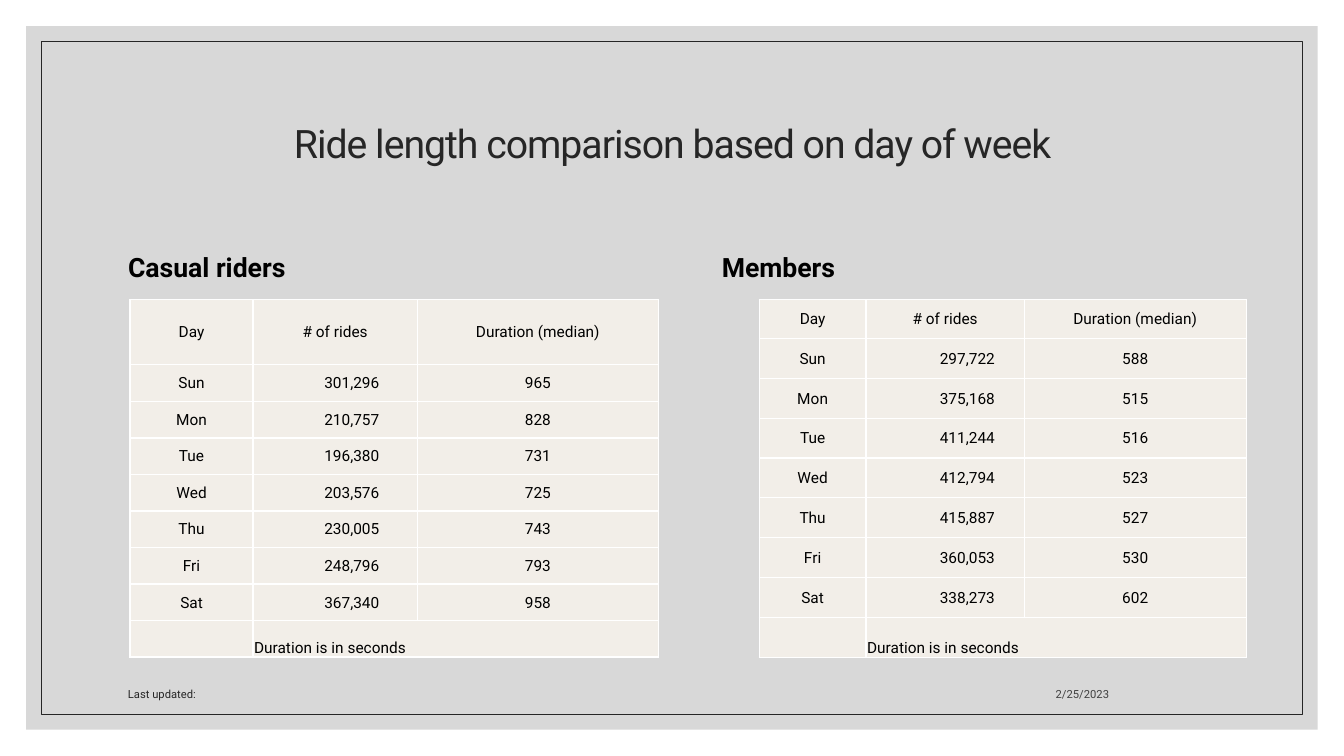
from lxml import etree
from pptx import Presentation
from pptx.dml.color import RGBColor
from pptx.enum.shapes import MSO_SHAPE as SHAPE
from pptx.enum.text import MSO_ANCHOR as ANCHOR, MSO_AUTO_SIZE as AUTO, PP_ALIGN as ALIGN
from pptx.oxml.ns import qn
from pptx.util import Inches, Pt

# Content
TITLE = "Ride length comparison based on day of week"
HEADER = ("Day", "# of rides", "Duration (median)")
DAYS = ("Sun", "Mon", "Tue", "Wed", "Thu", "Fri", "Sat")
NOTE = "Duration is in seconds"
FOOTER = [  # text, left, width, alignment, colour
    ("2/25/2023", 7.94, 3.16, ALIGN.RIGHT, "date"),
    ("Last updated:", 1.17, 6.36, ALIGN.LEFT, "dark"),
]
GROUPS = [
    dict(name="Casual riders", heading_left=1.17, left=1.29, cols=(1.22, 1.63, 2.39),
         header_height=0.65, rides_indent=0.34,
         rides=("301,296", "210,757", "196,380", "203,576", "230,005", "248,796", "367,340"),
         durations=(965, 828, 731, 725, 743, 793, 958)),
    dict(name="Members", heading_left=7.06, left=7.53, cols=(1.06, 1.57, 2.2),
         header_height=0.39, rides_indent=0.45,
         rides=("297,722", "375,168", "411,244", "412,794", "415,887", "360,053", "338,273"),
         durations=(588, 515, 516, 523, 527, 530, 602)),
]
COLORS = {"panel": "BFBFBF", "dark": "262626", "date": "404040",
          "text": "000000", "cell": "F2EEE8", "border": "FFFFFF"}
FONT = "Roboto"
TABLE_TOP, TABLE_HEIGHT = 2.97, 3.55


def rgb(name):
    return RGBColor.from_string(COLORS[name])


def place(shape, *box):
    shape.left, shape.top, shape.width, shape.height = map(Inches, box)


def write(tf, text, size, color, align=ALIGN.LEFT, bold=False):
    tf.text = text
    p = tf.paragraphs[0]
    p.alignment = align
    p.space_before = Pt(0)
    font = p.runs[0].font
    font.name, font.size, font.bold = FONT, Pt(size), bold
    font.color.rgb = rgb(color)
    return p


def fill_placeholder(sp, box, text, size, color, spacing, **style):
    place(sp, *box)
    tf = sp.text_frame
    tf.auto_size, tf.vertical_anchor = AUTO.NONE, ANCHOR.MIDDLE
    p = write(tf, text, size, color, **style)
    p.line_spacing = spacing
    return p


def add_panel(slide, inset, position):
    sp = slide.shapes.add_shape(SHAPE.RECTANGLE, Inches(inset), Inches(inset),
                                prs.slide_width - 2 * Inches(inset),
                                prs.slide_height - 2 * Inches(inset))
    sp.shadow.inherit = False
    slide.shapes._spTree.insert(2 + position, sp._element)  # behind the placeholders
    return sp


def style_cell(cell, indent=0.01):
    cell.fill.solid()
    cell.fill.fore_color.rgb = rgb("cell")
    cell.margin_left, cell.margin_right = Inches(indent), Inches(0.01)
    cell.margin_top, cell.margin_bottom = Inches(0.01), 0
    cell.vertical_anchor = ANCHOR.MIDDLE
    tc_pr = cell._tc.get_or_add_tcPr()
    for i, side in enumerate(("a:lnL", "a:lnR", "a:lnT", "a:lnB")):
        ln = etree.Element(qn(side), w=str(Pt(1)))
        solid = etree.SubElement(ln, qn("a:solidFill"))
        etree.SubElement(solid, qn("a:srgbClr"), val=COLORS["border"])
        tc_pr.insert(i, ln)


def add_ride_table(slide, group):
    rows = [HEADER, *zip(DAYS, group["rides"], map(str, group["durations"])), ("", NOTE, "")]
    cols, header_height = group["cols"], group["header_height"]
    last = len(rows) - 1
    row_height = (TABLE_HEIGHT - header_height) / last
    frame = slide.shapes.add_table(len(rows), len(cols), Inches(group["left"]), Inches(TABLE_TOP),
                                   Inches(sum(cols)), Inches(TABLE_HEIGHT))
    table = frame.table
    for column, width in zip(table.columns, cols):
        column.width = Inches(width)
    for r, row in enumerate(rows):
        table.rows[r].height = Inches(row_height if r else header_height)
        for c, text in enumerate(row):
            cell = table.cell(r, c)
            is_ride_count = c == 1 and 0 < r < last
            style_cell(cell, group["rides_indent"] if is_ride_count else 0.01)
            if text:
                align = ALIGN.LEFT if r == last else ALIGN.CENTER
                write(cell.text_frame, text, 11, "text", align)
    # The note spans the two value columns
    note = table.cell(last, 1)
    note.merge(table.cell(last, 2))
    note.vertical_anchor = ANCHOR.BOTTOM


prs = Presentation()
prs.slide_width, prs.slide_height = Inches(13.33), Inches(7.5)
slide = prs.slides.add_slide(prs.slide_layouts[4])  # Comparison

# Background panel and frame
panel = add_panel(slide, 0.26, 0)
panel.fill.solid()
panel.fill.fore_color.rgb = rgb("panel")
panel.line.fill.background()
color = panel._element.spPr.find(".//" + qn("a:srgbClr"))
etree.SubElement(color, qn("a:alpha"), val="60000")
border = add_panel(slide, 0.41, 1)
border.fill.background()
border.line.color.rgb = rgb("dark")
border.line.width = Pt(0.5)

# Title and headings
holders = {sp.placeholder_format.idx: sp for sp in slide.placeholders}
title = fill_placeholder(holders[0], (1.17, 0.7, 11, 1.5), TITLE, 28, "dark", 0.9,
                         align=ALIGN.CENTER)
title.runs[0]._r.get_or_add_rPr().set("spc", "-70")
for idx, group in zip((1, 3), GROUPS):
    fill_placeholder(holders[idx], (group["heading_left"], 2.27, 5.1, 0.7),
                     group["name"], 19, "text", 1.2, bold=True)
for idx in (2, 4):  # the tables take the place of the content placeholders
    holders[idx]._element.getparent().remove(holders[idx]._element)

# Footer
for text, left, width, align, color in FOOTER:
    box = slide.shapes.add_textbox(Inches(left), Inches(6.6), Inches(width), Inches(0.4))
    tf = box.text_frame
    tf.word_wrap, tf.vertical_anchor = True, ANCHOR.BOTTOM
    write(tf, text, 8, color, align)

# Tables
for group in GROUPS:
    add_ride_table(slide, group)

prs.save("out.pptx")
